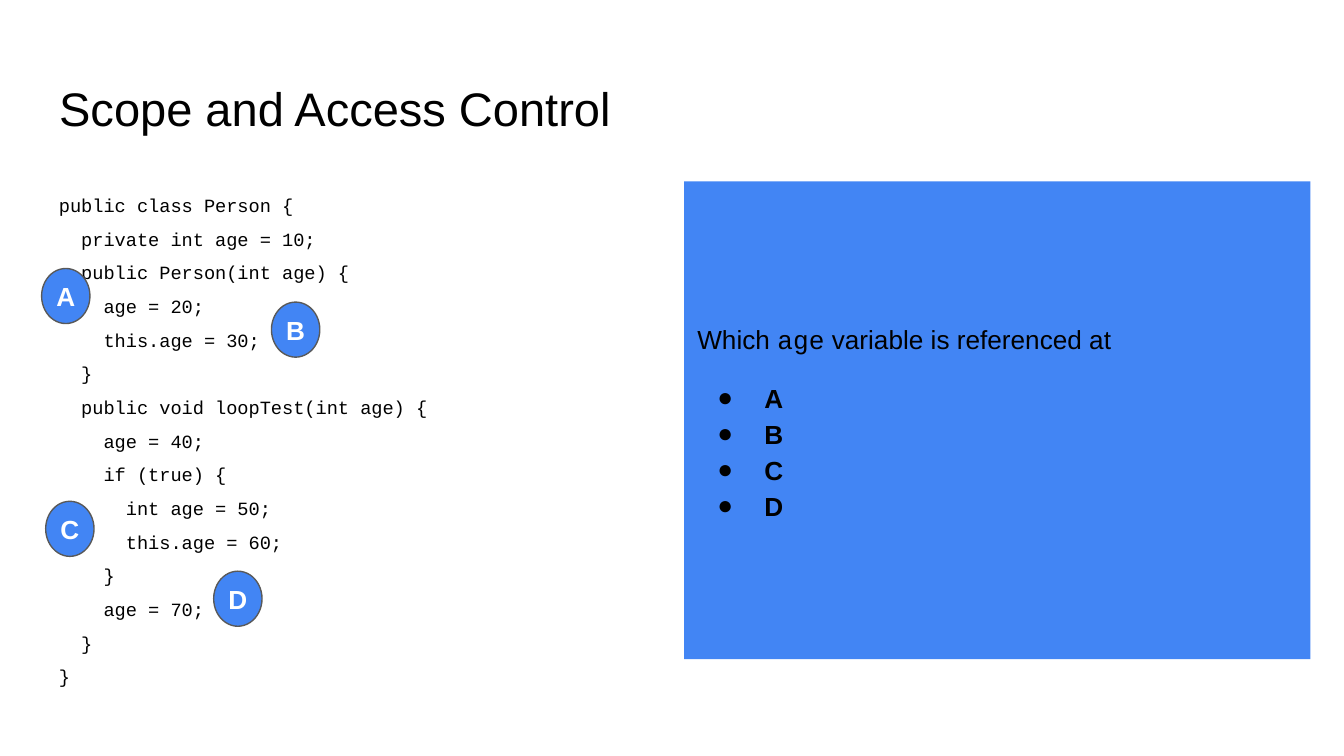
from lxml import etree
from pptx import Presentation
from pptx.dml.color import RGBColor
from pptx.enum.shapes import MSO_SHAPE
from pptx.enum.text import MSO_ANCHOR, MSO_AUTO_SIZE, PP_ALIGN
from pptx.oxml.ns import qn
from pptx.util import Inches, Pt

OVAL, RECT = MSO_SHAPE.OVAL, MSO_SHAPE.RECTANGLE
TOP, MIDDLE = MSO_ANCHOR.TOP, MSO_ANCHOR.MIDDLE
LEFT, CENTER = PP_ALIGN.LEFT, PP_ALIGN.CENTER
NO_FIT = MSO_AUTO_SIZE.NONE

SLIDE_W = 10
SLIDE_H = SLIDE_W * 9 / 16
BLACK, WHITE, BLUE, GREY = "000000", "FFFFFF", "4285F4", "595959"
SANS, MONO = "Arial", "Courier New"
INSET = 0.1

# Each entry is one paragraph; its lines are parted by line breaks
CODE = (
    "public class Person {\n  private int age = 10;",
    "  public Person(int age) {",
    "    age = 20;\n    this.age = 30;",
    "  }",
    "  public void loopTest(int age) {",
    "    age = 40;\n    if (true) {\n      int age = 50;\n"
    "      this.age = 60;\n    }\n    age = 70;",
    "  }\n}",
)
CODE_SIZE = 10
CHAR_W, ROW_H = CODE_SIZE * 0.6 / 72, 0.25

# Marker label: column and row of its corner in the grid of code characters
MARKERS = {
    "A": (-1.56, 2.55),
    "D": (13.8, 11.56),
    "B": (18.96, 3.55),
    "C": (-1.2, 9.48),
}
MARKER_SIZE = (0.36, 0.41)


def color(hex_value):
    return RGBColor.from_string(hex_value)


def place(shape, box):
    for side, length in zip(("left", "top", "width", "height"), box):
        setattr(shape, side, Inches(length))


def format_frame(frame, anchor=TOP, inset=INSET):
    values = {"word_wrap": True, "auto_size": NO_FIT, "vertical_anchor": anchor}
    values.update({f"margin_{side}": Inches(inset)
                   for side in ("left", "top", "right", "bottom")})
    for name, value in values.items():
        setattr(frame, name, value)


def add_run(paragraph, text, size, font=SANS, ink=BLACK, bold=False):
    run = paragraph.add_run()
    run.text = text
    for name, value in {"size": Pt(size), "name": font, "bold": bold}.items():
        setattr(run.font, name, value)
    run.font.color.rgb = color(ink)


def add_bullet(paragraph):
    properties = paragraph._p.get_or_add_pPr()
    properties.set("marL", str(Inches(0.5)))
    properties.set("indent", str(Inches(-0.35)))
    bullet_color = etree.SubElement(properties, qn("a:buClr"))
    etree.SubElement(bullet_color, qn("a:srgbClr"), val=BLACK)
    etree.SubElement(properties, qn("a:buFont"), typeface=SANS)
    etree.SubElement(properties, qn("a:buChar"), char="●")


def add_filled(slide, kind, box):
    shape = slide.shapes.add_shape(kind, *map(Inches, box))
    shape.shadow.inherit = False
    shape.fill.solid()
    shape.fill.fore_color.rgb = color(BLUE)
    return shape


def set_title(slide, box):
    title = slide.shapes.title
    place(title, box)
    format_frame(title.text_frame)
    heading = title.text_frame.paragraphs[0]
    heading.alignment = LEFT
    add_run(heading, "Scope and Access Control", 25.2)


def add_code(slide, box):
    frame = slide.shapes.add_textbox(*map(Inches, box)).text_frame
    format_frame(frame)
    for number, block in enumerate(CODE):
        paragraph = frame.add_paragraph() if number else frame.paragraphs[0]
        paragraph.line_spacing = 1.5
        for row, code_line in enumerate(block.splitlines()):
            if row:
                paragraph.add_line_break()
            add_run(paragraph, code_line, CODE_SIZE, MONO)


def add_markers(slide, box):
    left, top = box[0] + INSET, box[1] + INSET
    for label, (column, row) in MARKERS.items():
        spot = (left + column * CHAR_W, top + row * ROW_H, *MARKER_SIZE)
        marker = add_filled(slide, OVAL, spot)
        marker.line.color.rgb = color(GREY)
        marker.line.width = Pt(0.75)
        format_frame(marker.text_frame, MIDDLE, inset=0)
        paragraph = marker.text_frame.paragraphs[0]
        paragraph.alignment = CENTER
        add_run(paragraph, label, 14, ink=WHITE, bold=True)


def add_question(slide, box):
    panel = add_filled(slide, RECT, box)
    panel.line.fill.background()
    frame = panel.text_frame
    format_frame(frame, MIDDLE)
    question = frame.paragraphs[0]
    for text, font in (("Which ", SANS), ("age", MONO),
                       (" variable is referenced at", SANS)):
        add_run(question, text, 14, font)
    for number, label in enumerate(sorted(MARKERS)):
        choice = frame.add_paragraph()
        add_bullet(choice)
        choice.space_before = Pt(0 if number else 12)
        add_run(choice, label, 14, bold=True)
    for paragraph in frame.paragraphs:
        paragraph.alignment = LEFT
        paragraph.line_spacing = 1.15


def main():
    deck = Presentation()
    deck.slide_width, deck.slide_height = Inches(SLIDE_W), Inches(SLIDE_H)
    slide = deck.slides.add_slide(deck.slide_layouts[5])

    # Page margins and the two columns
    margin = 0.034 * SLIDE_W
    body_top = 0.224 * SLIDE_H
    code_box = (margin, body_top, 0.445 * SLIDE_W, 0.665 * SLIDE_H)
    question_box = (0.509 * SLIDE_W, 0.24 * SLIDE_H,
                    0.466 * SLIDE_W, 0.632 * SLIDE_H)

    set_title(slide, (margin, 0.087 * SLIDE_H,
                      SLIDE_W - 2 * margin, 0.112 * SLIDE_H))
    add_code(slide, code_box)
    add_markers(slide, code_box)
    add_question(slide, question_box)
    deck.save("out.pptx")


if __name__ == "__main__":
    main()
